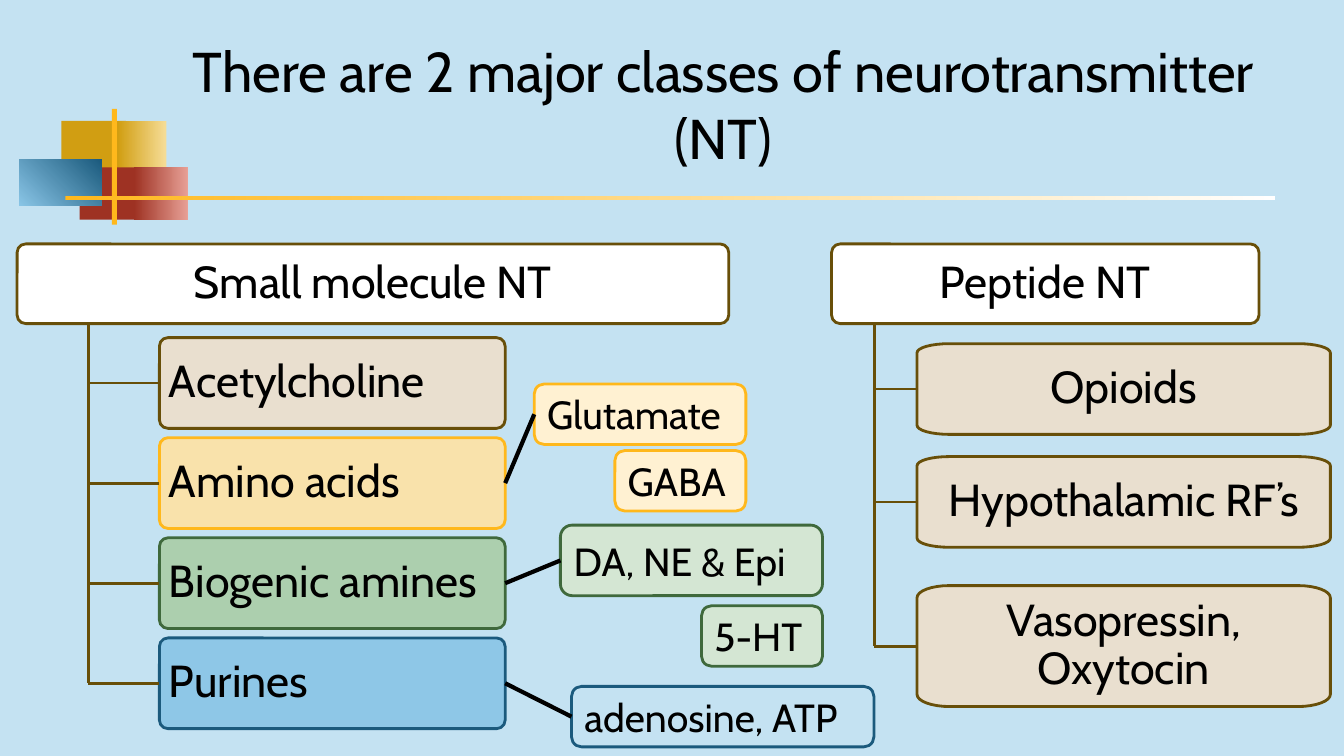
from dataclasses import dataclass
from math import cos, pi, sin

from lxml import etree
from pptx import Presentation
from pptx.dml.color import RGBColor
from pptx.enum.shapes import MSO_CONNECTOR, MSO_SHAPE
from pptx.enum.text import MSO_ANCHOR, PP_ALIGN
from pptx.oxml.ns import qn
from pptx.util import Inches, Pt

RECT, ROUNDED = MSO_SHAPE.RECTANGLE, MSO_SHAPE.ROUNDED_RECTANGLE
STRAIGHT = MSO_CONNECTOR.STRAIGHT
LEFT, CENTER = PP_ALIGN.LEFT, PP_ALIGN.CENTER
MIDDLE = MSO_ANCHOR.MIDDLE
SIDE_LEFT, SIDE_RIGHT = 1, 3
ROWS = 75
HEIGHT = Inches(7.5)
CELL = HEIGHT / ROWS
COLS = 133.33


@dataclass(frozen=True)
class Theme:
    font: str = "Cabin"
    title: int = 40
    body: int = 32
    example: int = 28
    outline: float = 2
    link: float = 3
    ink: str = "000000"
    white: str = "FFFFFF"
    back: str = "C4E2F2"
    brown: str = "684F09"
    sand: str = "EEDFCC"
    gold: str = "FFB81C"
    cream: str = "FFE3A4"
    pale_gold: str = "FFF1D2"
    green: str = "3F693C"
    leaf: str = "AACDA7"
    pale_green: str = "D4E6D3"
    navy: str = "1B5A7D"
    sky: str = "89C5E6"
    ochre: str = "D19E12"
    straw: str = "F6DD97"
    red: str = "9E3223"
    pink: str = "E8A197"


T = Theme()


@dataclass(frozen=True)
class Box:
    x: float
    y: float
    w: float
    h: float

    def inner(self, x, y, w, h):
        return Box(self.x + x, self.y + y, w, h)

    def emu(self):
        return [round(v * CELL) for v in (self.x, self.y, self.w, self.h)]


def rgb(value):
    return RGBColor.from_string(value)


def write(sp, text, size, align, spacing=None, margins=None):
    tf = sp.text_frame
    frame = {"word_wrap": True, "vertical_anchor": MIDDLE}
    if margins:
        mx, my = (Inches(m) for m in margins)
        frame.update(margin_left=mx, margin_right=mx, margin_top=my, margin_bottom=my)
    for name, value in frame.items():
        setattr(tf, name, value)
    p = tf.paragraphs[0]
    p.alignment, p.line_spacing = align, spacing
    r = p.add_run()
    r.text = text
    for name, value in {"name": T.font, "size": Pt(size)}.items():
        setattr(r.font, name, value)
    r.font.color.rgb = rgb(T.ink)


def paint(sp, fill, line=None, opacity=100):
    sp.shadow.inherit = False
    sp.fill.solid()
    sp.fill.fore_color.rgb = rgb(fill)
    if opacity < 100:
        color = next(sp.element.spPr.iter(qn("a:srgbClr")))
        etree.SubElement(color, qn("a:alpha")).set("val", str(opacity * 1000))
    if line:
        sp.line.color.rgb = rgb(line)
        sp.line.width = Pt(T.outline)
    else:
        sp.line.fill.background()


def rounded(s, box, radius):
    sp = s.shapes.add_shape(ROUNDED, *box.emu())
    sp.adjustments[0] = radius / min(box.w, box.h)
    return sp


def stretched(s, box, rx=3.2, steps=8):
    ry = box.h / 10
    corners = [(box.x + box.w - rx, box.y + box.h - ry), (box.x + rx, box.y + box.h - ry),
               (box.x + rx, box.y + ry), (box.x + box.w - rx, box.y + ry)]
    points = []
    for quarter, (cx, cy) in enumerate(corners):
        for step in range(steps + 1):
            a = (quarter + step / steps) * pi / 2
            points.append((round((cx + rx * cos(a)) * CELL), round((cy + ry * sin(a)) * CELL)))
    outline = s.shapes.build_freeform(*points[0])
    outline.add_line_segments(points[1:], close=True)
    return outline.convert_to_shape()


def connect(s, start, end, color, width):
    c = s.shapes.add_connector(STRAIGHT, *(round(v * CELL) for v in (*start, *end)))
    c.line.color.rgb = rgb(color)
    c.line.width = Pt(width)
    etree.SubElement(c.element.spPr, qn("a:effectLst"))
    return c


def banner(s, box):
    blocks = [
        ((6.1, 12, 6.4, 5.2), T.ochre, None, 0),
        ((11.7, 12, 4.8, 5.2), T.ochre, T.straw, 0),
        ((7.9, 16.6, 6.2, 5.2), T.red, None, 0),
        ((13.3, 16.6, 5.4, 5.2), T.red, T.pink, 0),
        ((1.9, 15.8, 8.2, 4.6), T.sky, T.navy, 45),
        ((11.1, 10.8, 0.5, 11.5), T.gold, None, 0),
        ((6.5, 19.45, 120, 0.35), T.gold, T.white, 0),
    ]
    for place, color, fade, angle in blocks:
        sp = s.shapes.add_shape(RECT, *box.inner(*place).emu())
        paint(sp, color)
        if fade:
            sp.fill.gradient()
            sp.fill.gradient_angle = angle
            for stop, value in zip(sp.fill.gradient_stops, (color, fade)):
                stop.color.rgb = rgb(value)
    title = s.shapes.add_textbox(*box.inner(16.8, 2.3, 109.9, 16).emu())
    write(title, "There are 2 major classes of neurotransmitter (NT)", T.title, CENTER)


def class_tree(s, box, heading, heading_w, items, item_w, wide_corners=False):
    head = box.inner(0, 0, heading_w, 7.9)
    indent, trunk_x = heading_w * 0.2, box.x + heading_w * 0.1
    sp = rounded(s, head, 0.85)
    paint(sp, T.white, T.brown)
    write(sp, heading, T.body, CENTER, 0.9, (0.07, 0.05))
    last_y, last_h = items[-1][1:3]
    connect(s, (trunk_x, box.y + head.h), (trunk_x, box.y + last_y + last_h / 2),
            T.brown, T.outline)
    shapes = {}
    for text, y, h, fill, line in items:
        place = box.inner(indent, y, item_w, h)
        sp = stretched(s, place) if wide_corners else rounded(s, place, 0.85)
        paint(sp, fill, line, 90)
        align, margins = (CENTER, (0.16, 0.14)) if wide_corners else (LEFT, (0.07, 0.05))
        write(sp, text, T.body, align, 0.9, margins)
        mid = place.y + h / 2
        branch = connect(s, (trunk_x, mid), (place.x, mid), T.brown, T.outline)
        if not wide_corners:
            branch.end_connect(sp, SIDE_LEFT)
        shapes[text] = sp
    return shapes


def examples(s, box, classes):
    notes = [
        ("Glutamate", (2.9, 0, 21, 6), T.pale_gold, T.gold, "Amino acids"),
        ("GABA", (10.9, 6.6, 13, 6), T.pale_gold, T.gold, None),
        ("DA, NE & Epi", (5.5, 14, 26, 7), T.pale_green, T.green, "Biogenic amines"),
        ("5-HT", (19.5, 22, 12, 6), T.pale_green, T.green, None),
        ("adenosine, ATP", (6.6, 30, 30, 6), T.back, T.navy, "Purines"),
    ]
    for text, place, fill, line, parent in notes:
        sp = rounded(s, box.inner(*place), place[3] / 6)
        paint(sp, fill, line)
        write(sp, text, T.example, LEFT)
        if parent:
            link = connect(s, (0, 0), (1, 1), T.ink, T.link)
            link.begin_connect(sp, SIDE_LEFT)
            link.end_connect(classes[parent], SIDE_RIGHT)


def main():
    prs = Presentation()
    prs.slide_width, prs.slide_height = round(COLS * CELL), HEIGHT
    s = prs.slides.add_slide(prs.slide_layouts[6])
    s.background.fill.solid()
    s.background.fill.fore_color.rgb = rgb(T.back)
    banner(s, Box(0, 0, COLS, 23))
    small = [("Acetylcholine", T.sand, T.brown), ("Amino acids", T.cream, T.gold),
             ("Biogenic amines", T.leaf, T.green), ("Purines", T.sky, T.navy)]
    rows = [(text, 9.3 + 9.93 * i, 9, fill, line) for i, (text, fill, line) in enumerate(small)]
    classes = class_tree(s, Box(1.7, 24.2, 70.6, 48.1), "Small molecule NT", 70.6, rows, 34.3)
    peptides = [("Opioids", 9.9, 9), ("Hypothalamic RF’s", 21.1, 9),
                ("Vasopressin, Oxytocin", 33.9, 12)]
    rows = [(*item, T.sand, T.brown) for item in peptides]
    class_tree(s, Box(82.5, 24.2, 49.4, 45.9), "Peptide NT", 42.4, rows, 41, True)
    examples(s, Box(50.1, 38.1, 36.6, 36), classes)
    prs.save("out.pptx")


if __name__ == "__main__":
    main()
